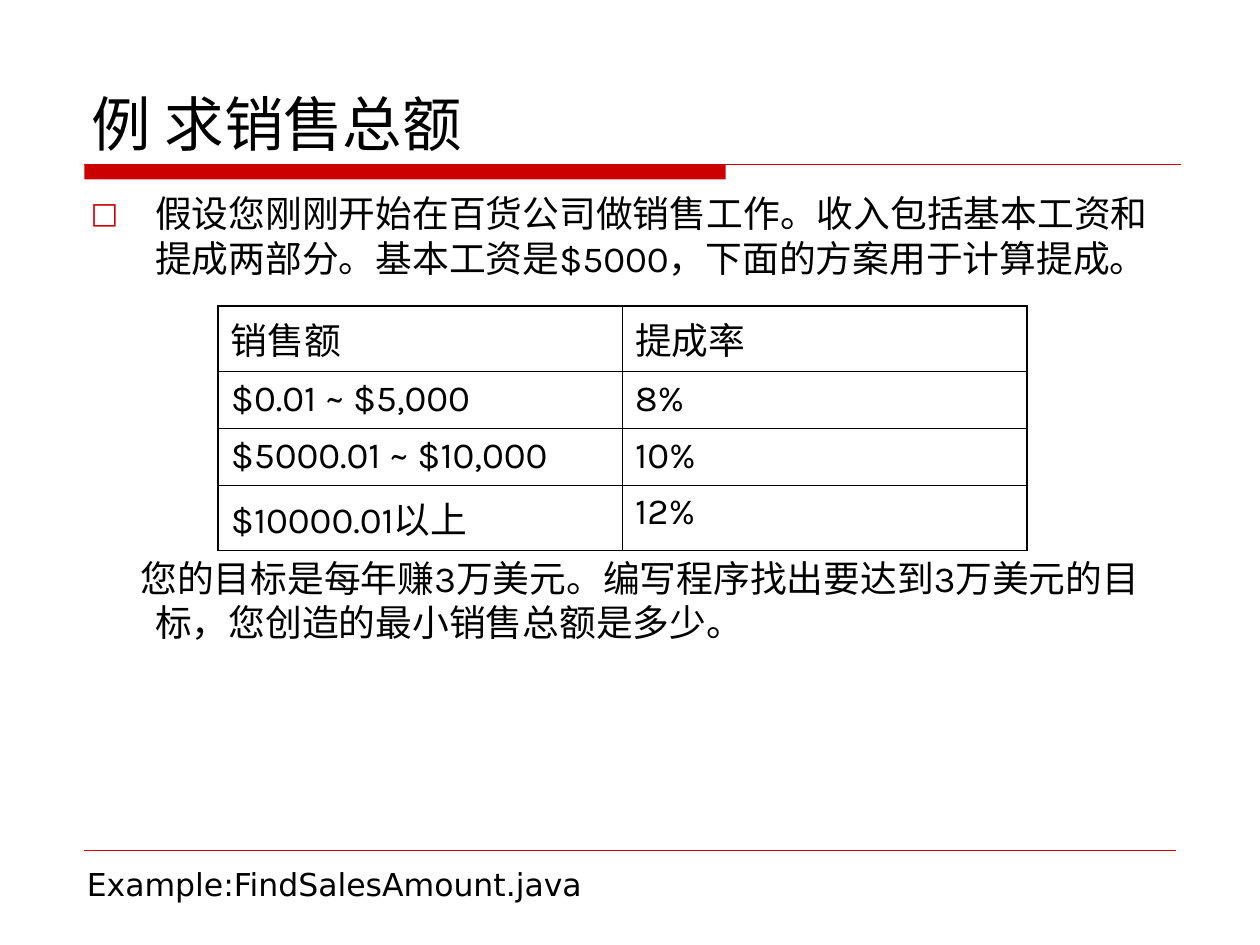
import lxml.etree
import pptx
import pptx.dml.color
import pptx.enum.shapes
import pptx.enum.text
import pptx.oxml
import pptx.oxml.ns
import pptx.util

Cm = pptx.util.Cm
Pt = pptx.util.Pt
qn = pptx.oxml.ns.qn
RED = "CC0000"
BLACK = "000000"
ROWS = [
    ("销售额", "提成率"),
    ("$0.01 ~ $5,000", "8%"),
    ("$5000.01 ~ $10,000", "10%"),
    ("$10000.01以上", "12%"),
]
TALL = (1.32, 1.14, 1.14, 1.32)
TASK = "假设您刚刚开始在百货公司做销售工作。收入包括基本工资和提成两部分。基本工资是$5000，下面的方案用于计算提成。"
GOAL = "您的目标是每年赚3万美元。编写程序找出要达到3万美元的目标，您创造的最小销售总额是多少。"


def tint(code):
    return pptx.dml.color.RGBColor.from_string(code)


def style(para, size, face):
    para.alignment = pptx.enum.text.PP_ALIGN.LEFT
    for run in para.runs:
        run.font.size = Pt(size)
        run.font.name = face
        run.font.color.rgb = tint(BLACK)


def rule(slide, left, top, width, weight):
    line = slide.shapes.add_connector(
        pptx.enum.shapes.MSO_CONNECTOR.STRAIGHT,
        Cm(left), Cm(top), Cm(left + width), Cm(top))
    line._element.remove(line._element.find(qn("p:style")))
    line.line.fill.solid()
    line.line.fill.fore_color.rgb = tint(RED)
    line.line.width = Pt(weight)


def header(slide, left, top, width, height):
    bar = slide.shapes.add_shape(
        pptx.enum.shapes.MSO_SHAPE.RECTANGLE,
        Cm(left + 0.1), Cm(top + height), Cm(12.93), Cm(0.3))
    bar.shadow.inherit = False
    bar.fill.solid()
    bar.fill.fore_color.rgb = tint(RED)
    bar.line.fill.background()
    rule(slide, left + 0.1, top + height, 22.1, 0.75)

    title = slide.shapes.title
    title.left, title.top = Cm(left), Cm(top)
    title.width, title.height = Cm(width), Cm(height)
    frame = title.text_frame
    frame.text = "例 求销售总额"
    frame.vertical_anchor = pptx.enum.text.MSO_ANCHOR.BOTTOM
    style(frame.paragraphs[0], 34, "DejaVu Sans")


def indent(para, margin, first):
    props = para._p.get_or_add_pPr()
    props.set("marL", str(Cm(margin)))
    props.set("indent", str(Cm(first)))


def bullet(para, mark):
    props = para._p.get_or_add_pPr()
    color = lxml.etree.SubElement(props, qn("a:buClr"))
    lxml.etree.SubElement(color, qn("a:srgbClr")).set("val", RED)
    lxml.etree.SubElement(props, qn("a:buSzPct")).set("val", "80000")
    lxml.etree.SubElement(props, qn("a:buFont")).set("typeface", "DejaVu Sans")
    lxml.etree.SubElement(props, qn("a:buChar")).set("char", mark)


def body(slide, left, top, width, height):
    box = slide.shapes.add_textbox(Cm(left), Cm(top), Cm(width), Cm(height))
    frame = box.text_frame
    frame.word_wrap = True
    task, goal = frame.paragraphs[0], frame.add_paragraph()
    for para, text, gap, first in ((task, TASK, 5.2, -1.3), (goal, GOAL, 158, -0.3)):
        para.text = text
        para.space_before = Pt(gap)
        style(para, 21, "Karla")
        indent(para, 1.3, first)
    bullet(task, "□")


def border(cell, side, weight):
    edge = lxml.etree.SubElement(cell._tc.get_or_add_tcPr(), qn("a:ln" + side))
    edge.set("w", str(Pt(weight)))
    fill = lxml.etree.SubElement(edge, qn("a:solidFill"))
    lxml.etree.SubElement(fill, qn("a:srgbClr")).set("val", BLACK)


def rates(slide, left, top, width):
    count, wide = len(ROWS), len(ROWS[0])
    table = slide.shapes.add_table(
        count, wide, Cm(left), Cm(top), Cm(width), Cm(sum(TALL))).table
    table.first_row = table.horz_banding = False
    for i, row in enumerate(ROWS):
        table.rows[i].height = Cm(TALL[i])
        for j, text in enumerate(row):
            cell = table.cell(i, j)
            cell.text = text
            para = cell.text_frame.paragraphs[0]
            style(para, 21, "Karla")
            para.space_before = Pt(5.2)
            outer = {"L": j == 0, "R": j == wide - 1, "T": i == 0, "B": i == count - 1}
            for side, thick in outer.items():
                border(cell, side, 1.08 if thick else 0.45)
            cell.fill.background()


def footer(slide, left, top, width, height):
    rule(slide, left + 0.2, top - 0.16, 22, 0.25)
    box = slide.shapes.add_textbox(Cm(left), Cm(top), Cm(width), Cm(height))
    box.text_frame.word_wrap = True
    box.text_frame.text = "Example:FindSalesAmount.java"
    style(box.text_frame.paragraphs[0], 18, "DejaVu Sans")


def main():
    deck = pptx.Presentation()
    deck.slide_width, deck.slide_height = Cm(25.4), Cm(19.05)
    slide = deck.slides.add_slide(deck.slide_layouts[5])
    header(slide, 1.6, 0.83, 22.23, 2.49)
    body(slide, 1.58, 3.73, 22.25, 13)
    rates(slide, 4.4, 6.17, 16.3)
    footer(slide, 1.5, 17.31, 22.2, 1.02)
    deck.save("out.pptx")


if __name__ == "__main__":
    main()
